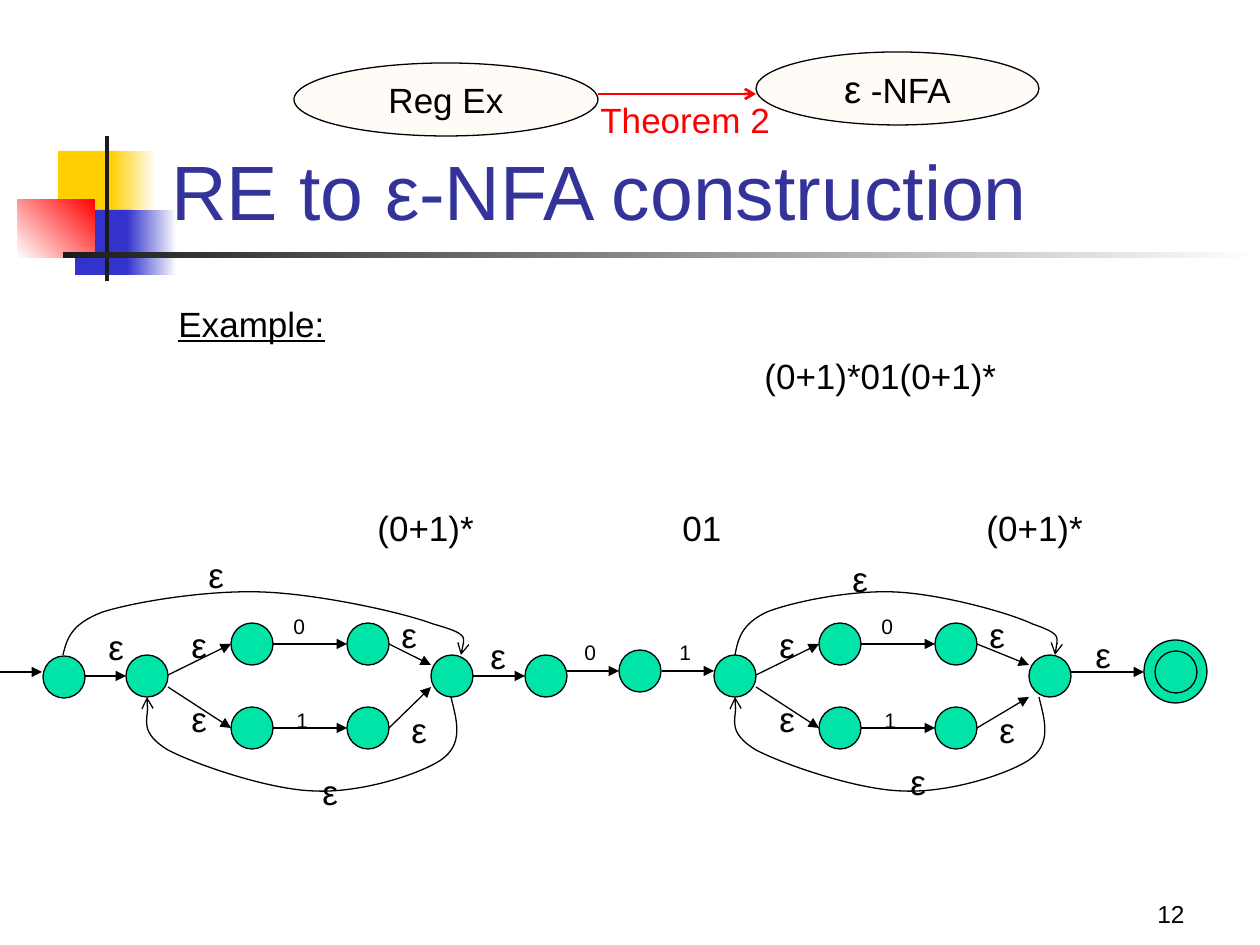
from pptx import Presentation
from pptx.dml.color import RGBColor
from pptx.enum.shapes import MSO_CONNECTOR, MSO_SHAPE
from pptx.enum.text import MSO_ANCHOR, PP_ALIGN
from pptx.oxml.ns import qn
from pptx.util import Pt
from lxml.etree import SubElement

SCALE = 914400 / 126
STATE = 42
EPSILON = "ε"
BLACK = RGBColor(0x00, 0x00, 0x00)
WHITE = RGBColor(0xFF, 0xFF, 0xFF)
GREEN = RGBColor(0x00, 0xE4, 0xA8)
CREAM = RGBColor(0xFF, 0xCC, 0x99)
RED = RGBColor(0xFF, 0x00, 0x00)
YELLOW = RGBColor(0xFF, 0xCF, 0x01)
BLUE = RGBColor(0x33, 0x33, 0xCC)
TITLE_BLUE = RGBColor(0x33, 0x33, 0x99)
CHARCOAL = RGBColor(0x1C, 0x1C, 0x1C)

LOWER_LOOP = [(325, 107), (331, 131), (338, 154), (315, 170), (292, 185), (234, 203), (189, 201),
              (144, 200), (71, 175), (42, 160), (14, 143), (24, 116), (21, 107)]
UPPER_LOOP = [(0, 65), (0.01, 49), (0.02, 34), (0.1, 22), (0.18, 12), (0.36, 0), (0.5, 2),
              (0.64, 4), (0.85, 22), (0.93, 34), (1.02, 44), (1.01, 54), (1, 65)]


def emu(pixels):
    """Turn pixels into EMU."""
    return round(pixels * SCALE)


def add_text(slide, text, left, top, width=40, height=54, size=20, color=BLACK, wrap=False):
    """Add a one-line text box and return its paragraph and frame."""
    box = slide.shapes.add_textbox(emu(left), emu(top), emu(width), emu(height))
    frame = box.text_frame
    frame.word_wrap = wrap
    paragraph = frame.paragraphs[0]
    paragraph.text = text
    set_font(paragraph.font, size, color)
    return paragraph, frame


def set_font(font, size, color):
    """Set the face, size and colour of a font."""
    font.name = "Arial"
    font.size = Pt(size)
    font.color.rgb = color


def add_ellipse(slide, left, top, width=STATE, height=STATE, color=GREEN):
    """Add an outlined ellipse; the default is an automaton state."""
    shape = slide.shapes.add_shape(MSO_SHAPE.OVAL, emu(left), emu(top), emu(width), emu(height))
    shape.shadow.inherit = False
    shape.fill.solid()
    shape.fill.fore_color.rgb = color
    set_line(shape.line, BLACK, 0.75)
    return shape


def set_line(line, color, width, arrow=None):
    """Set the colour, width and end arrowhead of a line."""
    line.color.rgb = color
    line.width = Pt(width)
    if arrow:
        SubElement(line._get_or_add_ln(), qn("a:tailEnd"), type=arrow)


def add_arrow(slide, start, end, color=BLACK, width=0.75, head="triangle"):
    """Add a straight arrow between two points."""
    x1, y1, x2, y2 = map(emu, (*start, *end))
    connector = slide.shapes.add_connector(MSO_CONNECTOR.STRAIGHT, x1, y1, x2, y2)
    set_line(connector.line, color, width, head)
    SubElement(connector._element.spPr, qn("a:effectLst"))


def add_curve(slide, points):
    """Add an arrow along a chain of cubic Bezier curves."""
    start, *controls = [(emu(x), emu(y)) for x, y in points]
    builder = slide.shapes.build_freeform(*start)
    builder.add_line_segments(controls, close=False)
    shape = builder.convert_to_shape()
    outline = shape._element.find(".//" + qn("a:path"))
    segments = outline.findall(qn("a:lnTo"))
    for index in range(0, len(segments), 3):
        curve = SubElement(outline, qn("a:cubicBezTo"))
        for segment in segments[index:index + 3]:
            curve.append(segment[0])
            outline.remove(segment)
    shape.shadow.inherit = False
    shape.fill.background()
    set_line(shape.line, BLACK, 0.75, "arrow")


def add_emblem(slide, left, top):
    """Draw the coloured blocks and rules beside the title."""
    blocks = [
        (41, 15, 60, 66, YELLOW, None, 0), (94, 15, 45, 66, YELLOW, WHITE, 0),
        (58, 74, 58, 65, BLUE, None, 0), (110, 74, 50, 65, BLUE, WHITE, 0),
        (1, 63, 77, 59, WHITE, RED, 45), (88, 0, 4, 145, CHARCOAL, None, 0),
        (46, 116, 1197, 6, CHARCOAL, WHITE, 0),
    ]
    for x, y, width, height, first, last, angle in blocks:
        shape = slide.shapes.add_shape(MSO_SHAPE.RECTANGLE, emu(left + x), emu(top + y),
                                       emu(width), emu(height))
        shape.shadow.inherit = False
        shape.line.fill.background()
        if last is None:
            shape.fill.solid()
            shape.fill.fore_color.rgb = first
            continue
        shape.fill.gradient()
        shape.fill.gradient_angle = angle
        for stop, position, color in zip(shape.fill.gradient_stops, (0, 1), (first, last)):
            stop.position = position
            stop.color.rgb = color


def add_theorem(slide, left, top):
    """Draw the two formalisms and the theorem that joins them."""
    formalisms = [(462, 0, 283, [(EPSILON, 22), (" -NFA", 20)]), (0, 11, 304, [("Reg Ex", 20)])]
    for x, y, width, runs in formalisms:
        shape = add_ellipse(slide, left + x, top + y, width, 73, CREAM)
        color = shape.fill._xPr.find(".//" + qn("a:srgbClr"))
        SubElement(color, qn("a:alpha"), val="8000")
        frame = shape.text_frame
        frame.word_wrap = False
        frame.vertical_anchor = MSO_ANCHOR.MIDDLE
        paragraph = frame.paragraphs[0]
        paragraph.alignment = PP_ALIGN.CENTER
        for text, size in runs:
            run = paragraph.add_run()
            run.text = text
            set_font(run.font, size, BLACK)
    add_arrow(slide, (left + 304, top + 42), (left + 462, top + 42), RED, 1.5, "arrow")
    add_text(slide, "Theorem 2", left + 294, top + 40, 195, color=RED)


def add_star(slide, left, top, width, loop, lower_end, upper_label, lower_label):
    """Draw the automaton of (0+1)* in the given box."""
    last = width - STATE
    arrows = [(42, 85, 105, 54), (42, 97, 105, 138), (147, 54, 221, 54), (147, 138, 221, 138),
              (263, 54, last, 75), (263, 138, last, lower_end)]
    for x1, y1, x2, y2 in arrows:
        add_arrow(slide, (left + x1, top + y1), (left + x2, top + y2))
    for x, y in [(0, 65), (105, 33), (105, 117), (221, 33), (221, 117), (last, 65)]:
        add_ellipse(slide, left + x, top + y)
    start, end = loop
    add_curve(slide, [(left + start + x * (end - start), top + y) for x, y in UPPER_LOOP])
    add_curve(slide, [(left + x, top + y) for x, y in LOWER_LOOP])
    for x, y in [(53, 27), (53, 101), (263, 17), (273, 112), upper_label, lower_label]:
        add_text(slide, EPSILON, left + x, top + y)
    for text, x, y in [("0", 155, 17), ("1", 158, 111)]:
        add_text(slide, text, left + x, top + y, 37, 38, 12)


def add_automaton(slide, left, top):
    """Draw the whole automaton for (0+1)*01(0+1)*."""
    add_star(slide, left + 126, top, 347, (-63, 335), 97, (70, -43), (184, 174))
    add_star(slide, left + 714, top, 357, (21, 341), 107, (126, -39), (184, 164))
    add_ellipse(slide, left + 1144, top + 50, 63, 63)
    for x, y in [(43, 66), (525, 65), (619, 60), (1155, 61)]:
        add_ellipse(slide, left + x, top + y)
    for x1, x2, y in [(85, 126, 86), (473, 525, 86), (567, 619, 81), (662, 714, 81),
                      (0, 42, 82), (1071, 1144, 82)]:
        add_arrow(slide, (left + x1, top + y), (left + x2, top + y))
    for x, y in [(96, 29), (478, 38), (1083, 37)]:
        add_text(slide, EPSILON, left + x, top + y)
    for text, x in [("0", 572), ("1", 667)]:
        add_text(slide, text, left + x, top + 43, 37, 38, 12)


def add_headings(slide):
    """Place the title, the expressions and the page number."""
    frame = add_text(slide, "RE to ε-NFA construction", 159, 85, 1074, 157, 44, TITLE_BLUE, True)[1]
    frame.vertical_anchor = MSO_ANCHOR.BOTTOM
    example = add_text(slide, "Example:", 166, 296, 171)[0]
    example.font.underline = True
    for text, x, y, width in [("(0+1)*01(0+1)*", 752, 348, 346), ("(0+1)*", 365, 500, 158),
                              ("01", 670, 500, 105), ("(0+1)*", 974, 500, 158)]:
        add_text(slide, text, x, y, width, wrap=True)
    number, frame = add_text(slide, "12", 935, 872, 262, 63, 14, wrap=True)
    number.alignment = PP_ALIGN.RIGHT
    frame.vertical_anchor = MSO_ANCHOR.BOTTOM


def main():
    """Build and save the slide."""
    presentation = Presentation()
    presentation.slide_width = emu(1260)
    presentation.slide_height = emu(945)
    slide = presentation.slides.add_slide(presentation.slide_layouts[6])
    add_emblem(slide, 17, 136)
    add_headings(slide)
    add_theorem(slide, 294, 52)
    add_automaton(slide, 0, 590)
    presentation.save("out.pptx")


main()
